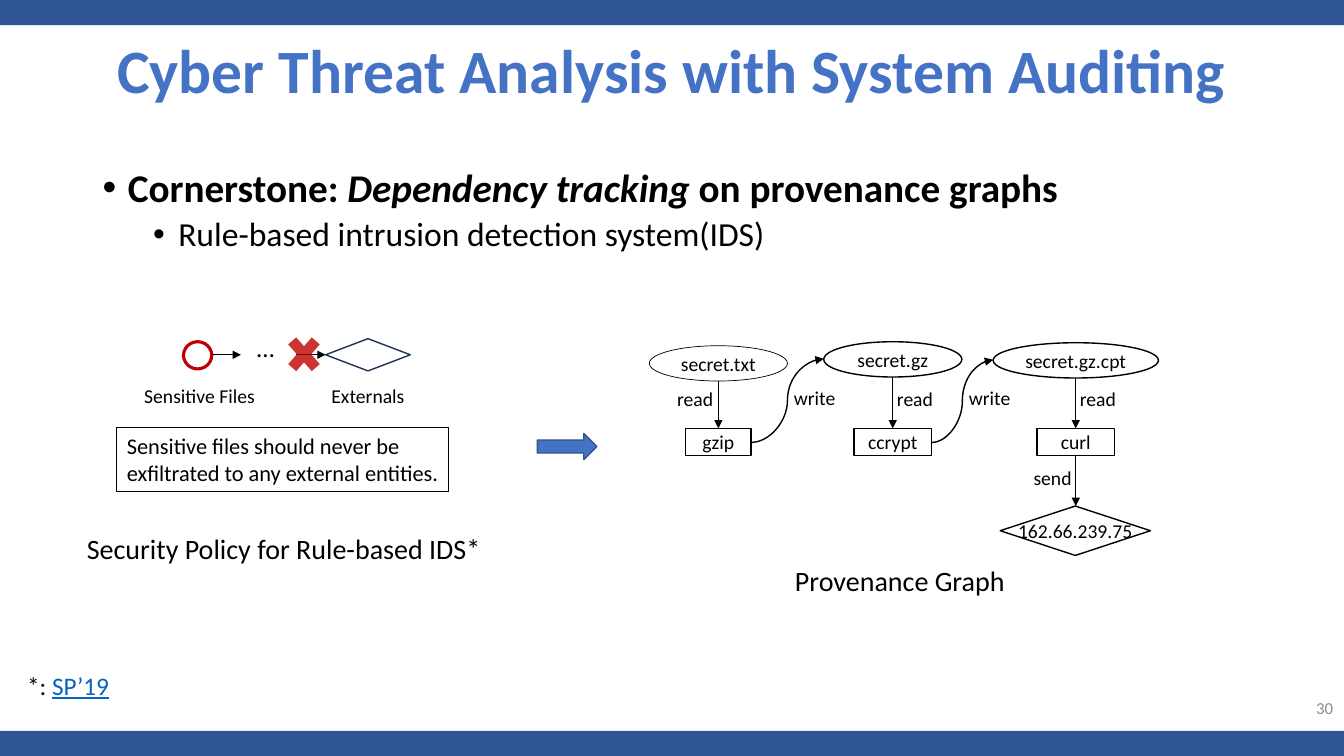
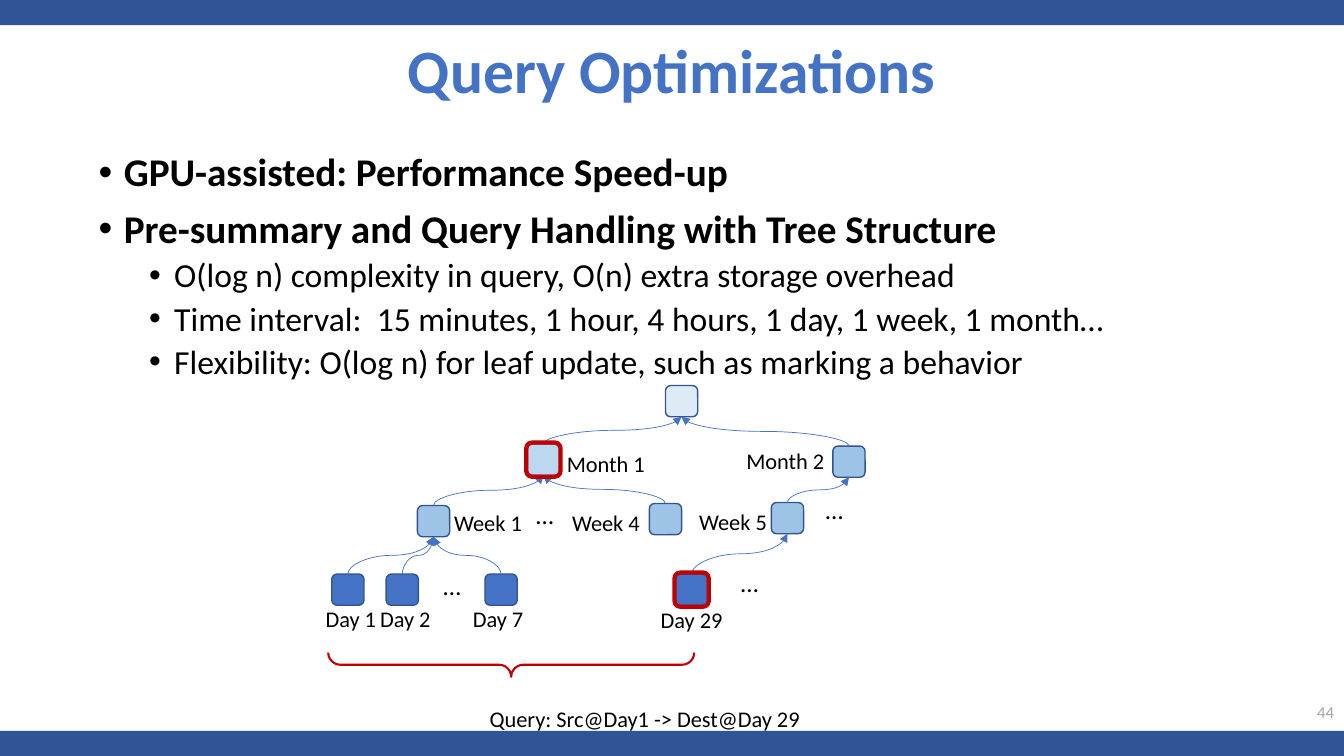
from pptx import Presentation
from pptx import util as u
from pptx.dml import color as dc
from pptx.enum import shapes as es, text as et
from pptx.oxml import ns, xmlchemy as xc
from lxml import etree

FONT = "Calibri"
BLACK, WHITE, RED = "000000", "FFFFFF", "C00000"
BAND, BLUE, EDGE = "2F5597", "4472C4", "325491"
PALE, LIGHT, SKY = "DEEBF7", "BDD7EE", "9DC3E6"
LEFT, MID, RIGHT = et.PP_ALIGN.LEFT, et.PP_ALIGN.CENTER, et.PP_ALIGN.RIGHT
TOP, CORE = et.MSO_ANCHOR.TOP, et.MSO_ANCHOR.MIDDLE
KIND, LINK = es.MSO_SHAPE, es.MSO_CONNECTOR
WIDE, HIGH, STRIP = 13.33, 7.5, 0.25


def rgb(code):
    return dc.RGBColor.from_string(code)


def sub(node, tag, **attrs):
    return etree.SubElement(node, ns.qn(tag), attrs)


def add_run(para, words, size, color=BLACK, bold=False, slant=False, under=False):
    run = para.add_run()
    run.text = words
    font = run.font
    font.name, font.size = FONT, u.Pt(size)
    font.bold, font.italic, font.underline = bold, slant, under
    font.color.rgb = rgb(color)


def add_bullet(para, level):
    para.level = level
    para.line_spacing = 0.9
    para.space_before = u.Pt(5 if level else 10)
    props = para._p.get_or_add_pPr()
    props.set("marL", str(u.Inches(0.75 if level else 0.25)))
    props.set("indent", str(u.Inches(-0.25)))
    sub(props, "a:buFont", typeface="Arial")
    sub(props, "a:buChar", char="•")


class Pen:
    def __init__(self, slide, x=0, y=0):
        self.shapes, self.x, self.y = slide.shapes, x, y

    def place(self, x, y):
        return u.Inches(self.x + x), u.Inches(self.y + y)

    def shape(self, kind, x, y, w, h, fill=None, line=None, width=1):
        item = self.shapes.add_shape(kind, *self.place(x, y), u.Inches(w), u.Inches(h))
        item.shadow.inherit = False
        if fill:
            item.fill.solid()
            item.fill.fore_color.rgb = rgb(fill)
        else:
            item.fill.background()
        if line:
            item.line.color.rgb = rgb(line)
            item.line.width = u.Pt(width)
        else:
            item.line.fill.background()
        return item

    def node(self, kind, x, y, w, h, words, width=1):
        item = self.shape(kind, x, y, w, h, WHITE, BLACK, width)
        frame = item.text_frame
        frame.word_wrap = False
        frame.vertical_anchor = CORE
        frame.margin_left = frame.margin_right = 0
        frame.margin_top = frame.margin_bottom = 0
        para = frame.paragraphs[0]
        para.alignment = MID
        add_run(para, words, 14)

    def text(self, x, y, w, h, words, size, align=MID, anchor=TOP, **style):
        box = self.shapes.add_textbox(*self.place(x, y), u.Inches(w), u.Inches(h))
        frame = box.text_frame
        frame.word_wrap = True
        frame.vertical_anchor = anchor
        para = frame.paragraphs[0]
        para.alignment = align
        add_run(para, words, size, **style)
        return para

    def label(self, x, y, words, size):
        self.text(x - 0.8, y, 1.6, 0.35, words, size)

    def dots(self, x, y):
        self.text(x, y, 0.51, 0.4, "…", 18, LEFT)

    def arrow(self, start, end, kind=LINK.STRAIGHT, color=BLACK, width=1):
        item = self.shapes.add_connector(kind, *self.place(*start), *self.place(*end))
        item.line.color.rgb = rgb(color)
        item.line.width = u.Pt(width)
        props = item._element.spPr
        sub(props.find(ns.qn("a:ln")), "a:tailEnd", type="triangle")
        sub(props, "a:effectLst")
        return item

    def climb(self, start, end):
        (ax, ay), (bx, by) = start, end
        cx, cy = (ax + bx) / 2, (ay + by) / 2
        dx, dy = (bx - ax) / 2, (by - ay) / 2
        item = self.arrow((cx - dy, cy + dx), (cx + dy, cy - dx), LINK.CURVE, BLUE, 0.5)
        item._element.spPr.find(ns.qn("a:xfrm")).set("rot", "5400000")


def add_frame(deck, title, page, right, top, gray):
    slide = deck.slides.add_slide(deck.slide_layouts[6])
    pen = Pen(slide)
    for y in (0, HIGH - STRIP):
        pen.shape(KIND.RECTANGLE, 0, y, WIDE, STRIP, BAND)
    head = pen.text(0, 0, WIDE, 1.46, title, 44, anchor=CORE, color=BLUE, bold=True)
    head.line_spacing = 0.9
    pen.text(right - 2, top, 2, 0.4, page, 12, RIGHT, CORE, color=gray)
    return slide


def add_body(slide, x, y, w, h, items):
    box = slide.shapes.add_textbox(*map(u.Inches, (x, y, w, h)))
    frame = box.text_frame
    frame.word_wrap = True
    for i, (level, runs) in enumerate(items):
        para = frame.add_paragraph() if i else frame.paragraphs[0]
        add_bullet(para, level)
        for words, slant in runs:
            add_run(para, words, 24 if level else 28, bold=not level, slant=slant)


def add_policy(slide, x, y):
    pen = Pen(slide, x, y)
    pen.shape(KIND.OVAL, 1.32, 0.14, 0.28, 0.27, line=RED, width=2.25)
    pen.dots(1.95, 0)
    for left in (1.6, 2.44):
        pen.arrow((left, 0.27), (left + 0.29, 0.27))
    cross = pen.shape(KIND.MATH_MULTIPLY, 2.29, 0.01, 0.45, 0.51, RED)
    tint = cross._element.spPr.find(ns.qn("a:solidFill"))[0]
    sub(tint, "a:alpha", val="80000")
    pen.shape(KIND.FLOWCHART_DECISION, 2.73, 0.11, 0.84, 0.32, line="1E3256")
    pen.label(1.48, 0.51, "Sensitive Files", 14)
    pen.label(3.15, 0.51, "Externals", 14)
    pen.shape(KIND.RECTANGLE, 0.66, 0.99, 3.29, 0.64, line=BLACK, width=0.75)
    rule = "Sensitive files should never be exfiltrated to any external entities."
    pen.text(0.66, 0.99, 3.29, 0.64, rule, 16, LEFT)
    pen.text(0, 1.97, 4.63, 0.44, "Security Policy for Rule-based IDS*", 20)


def add_graph(slide, x, y):
    pen = Pen(slide, x, y)
    steps = [
        (0, 0.04, 1.37, "secret.txt", 0.5, "gzip", 0.65, -0.23),
        (1.73, 0, 1.37, "secret.gz", 1, "ccrypt", 0.77, 0.22),
        (3.41, 0.01, 1.64, "secret.gz.cpt", 1, "curl", 0.77, 0.22),
    ]
    tail = None
    for left, top, wide, name, line, tool, span, shift in steps:
        mid = left + wide / 2
        pen.node(KIND.OVAL, left, top, wide, 0.35, name, line)
        pen.node(KIND.RECTANGLE, mid - span / 2, 0.86, span, 0.27, tool)
        pen.arrow((mid, top + 0.35), (mid, 0.86))
        pen.label(mid + shift, 0.4, "read", 14)
        if tail:
            pen.arrow((tail, 1), (left, top + 0.17), LINK.CURVE)
            pen.label((tail + left) / 2 + 0.27, 0.39, "write", 14)
        tail = mid + span / 2
    pen.arrow((mid, 1.13), (mid, 1.63))
    pen.label(mid - 0.23, 1.18, "send", 14)
    pen.node(KIND.FLOWCHART_DECISION, mid - 0.75, 1.63, 1.49, 0.49, "162.66.239.75")
    pen.text(0.54, 2.15, 3.89, 0.44, "Provenance Graph", 20)


def add_tree(slide, x, y):
    pen = Pen(slide, x, y)
    wide, high, ring = 0.32, 0.31, 0.34
    nodes = {
        "Root": (3.76, 0.18, PALE, None, 0, 0),
        "Month 1": (2.39, 0.76, LIGHT, "Root", 0.62, 0.04),
        "Month 2": (5.42, 0.78, SKY, "Root", -0.63, -0.01),
        "Week 1": (1.3, 1.37, SKY, "Month 1", 0.54, 0.01),
        "Week 4": (3.6, 1.35, SKY, "Month 1", -0.59, 0.03),
        "Week 5": (4.81, 1.34, SKY, "Month 2", -0.54, 0.03),
        "Day 1": (0.45, 2.05, BLUE, "Week 1", 0.03, 0.28),
        "Day 2": (0.99, 2.05, BLUE, "Week 1", 0.03, 0.28),
        "Day 7": (1.97, 2.05, BLUE, "Week 1", -0.03, 0.28),
        "Day 29": (3.86, 2.05, BLUE, "Week 5", 0, 0.29),
    }
    for name, (cx, cy, fill, above, dx, dy) in nodes.items():
        pen.shape(KIND.ROUNDED_RECTANGLE, cx - wide / 2, cy - high / 2,
                  wide, high, fill, EDGE)
        if above:
            px, py = nodes[above][:2]
            pen.climb((cx, cy - high / 2), (px, py + high / 2))
            pen.label(cx + dx, cy + dy - 0.18, name, 16)
    for name in ("Month 1", "Day 29"):
        cx, cy = nodes[name][:2]
        pen.shape(KIND.ROUNDED_RECTANGLE, cx - ring / 2, cy - ring / 2,
                  ring, ring, line=RED, width=3)
    for spot in ((1.3, 1.81), (2.22, 1.1), (4.25, 1.78), (5.09, 1.06)):
        pen.dots(*spot)
    brace = pen.shape(KIND.RIGHT_BRACE, 1.95, 0.98, 0.24, 3.63, line=RED, width=1.5)
    brace.adjustments[0] = 0.5
    brace.rotation = 90
    pen.text(1.18, 3.15, 4.43, 0.37, "Query: Src@Day1 -> Dest@Day 29", 16)


def add_audit(deck):
    slide = add_frame(deck, "Cyber Threat Analysis with System Auditing",
                      "30", 13.32, 6.82, "8C8C8C")
    add_body(slide, 0.92, 1.62, 11.5, 1.44, [
        (0, [("Cornerstone: ", False), ("Dependency tracking ", True),
             ("on provenance graphs", False)]),
        (1, [("Rule-based intrusion detection system(IDS)", False)]),
    ])
    add_policy(slide, 0.5, 3.25)
    add_graph(slide, 6.44, 3.39)
    pen = Pen(slide)
    pen.shape(KIND.RIGHT_ARROW, 5.33, 4.3, 0.59, 0.26, BLUE, EDGE)
    note = pen.text(0.17, 6.6, 3.29, 0.4, "*: ", 18, LEFT, color="0D0D0D")
    add_run(note, "SP’19", 18, "0563C1", under=True)


def add_query(deck):
    slide = add_frame(deck, "Query Optimizations", "44", WIDE, 6.86, "A5A5A5")
    lines = [
        (0, "GPU-assisted: Performance Speed-up"),
        (0, "Pre-summary and Query Handling with Tree Structure"),
        (1, "O(log n) complexity in query, O(n) extra storage overhead"),
        (1, "Time interval:  15 minutes, 1 hour, 4 hours, 1 day, 1 week, 1 month…"),
        (1, "Flexibility: O(log n) for leaf update, such as marking a behavior"),
    ]
    add_body(slide, 0.88, 1.47, 11.5, 2.74,
             [(level, [(words, False)]) for level, words in lines])
    add_tree(slide, 3, 3.8)


def main():
    deck = Presentation()
    deck.slide_width, deck.slide_height = u.Inches(WIDE), u.Inches(HIGH)
    add_audit(deck)
    add_query(deck)
    deck.save("out.pptx")


if __name__ == "__main__":
    main()
